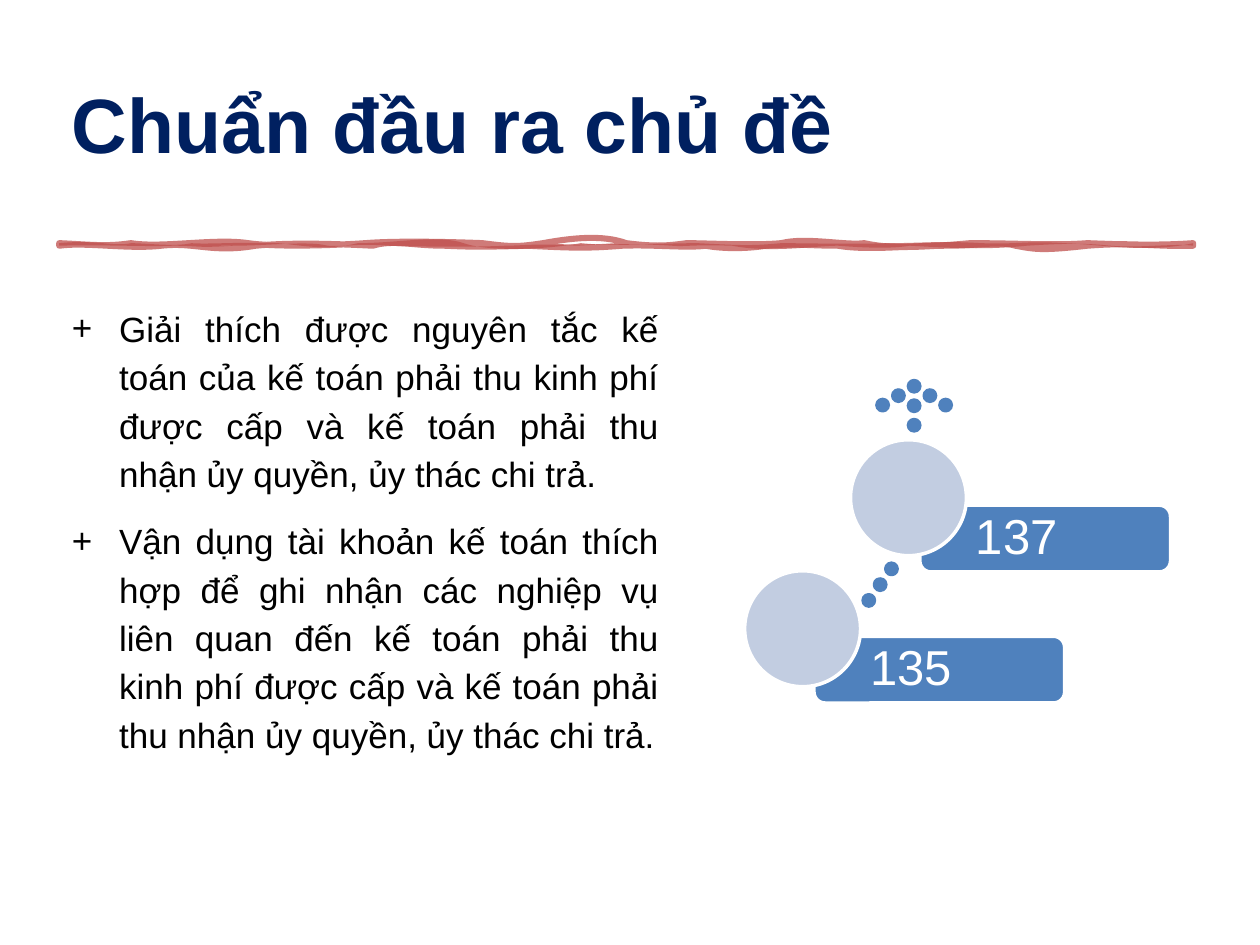
import lxml.etree
import pptx
import pptx.dml.color
import pptx.enum.shapes
import pptx.enum.text
import pptx.oxml
import pptx.oxml.ns
import pptx.util

COLUMNS, ROWS = 100, 75
NAVY, RED, BLUE, PALE = "002060", "C0504D", "4F81BD", "C2CDE1"
SHAPES = pptx.enum.shapes.MSO_SHAPE
ALIGN = pptx.enum.text.PP_ALIGN
ANCHOR = pptx.enum.text.MSO_ANCHOR

TITLE = "Chuẩn đầu ra chủ đề"
OUTCOMES = [
    "Giải thích được nguyên tắc kế toán của kế toán phải thu kinh phí được cấp "
    "và kế toán phải thu nhận ủy quyền, ủy thác chi trả.",
    "Vận dụng tài khoản kế toán thích hợp để ghi nhận các nghiệp vụ liên quan đến "
    "kế toán phải thu kinh phí được cấp và kế toán phải thu nhận ủy quyền, ủy thác chi trả.",
]

# Hand-drawn rule: each curve is (column, drop, column, drop, end column),
# where the drops are measured in rows from the edge it belongs to.
RULE_AREA = (4.7, 19.3, 90, 0.2)
STROKE_TOP = [
    (7, .1, 8.4, .3, 10.4), (12.9, .4, 17, -.4, 19.7), (21.8, .3, 26, .2, 29),
    (31.4, -.2, 35.9, -.1, 38.3), (40.6, .3, 41.1, .3, 43.1), (45.3, -.4, 47.8, -.7, 49.7),
    (52.1, .3, 53, .2, 54.5), (56, 0, 59.9, .2, 62), (64, -.5, 67.1, .2, 68.6),
    (70.4, .4, 72.5, .4, 77), (80.7, 0, 83.9, .2, 86.3), (88.8, .1, 92, .2, 94.7),
]
STROKE_BOTTOM = [
    (91.6, .1, 90.1, -.3, 86.3), (82.7, .4, 82.2, .3, 80.6), (79.2, -.4, 78, 0, 74.9),
    (72, 0, 68.9, .4, 66.5), (64.2, 0, 63, -.2, 60.8), (58.9, .3, 57.1, .2, 56),
    (54.5, .2, 51.9, -.1, 49.4), (46.8, .2, 45.7, .2, 41.9), (38.2, .1, 37.6, .1, 35.3),
    (32.7, 0, 31.2, -.5, 29.6), (27.6, -.1, 23.3, -.3, 20.3), (16.8, .6, 15.5, -.3, 12.8),
    (10.2, .3, 6.8, -.3, 4.7),
]
FILL_TOP = [
    (7.7, -.3, 9, .3, 10.4), (11.6, 0, 13.9, .3, 15.2), (16.5, .1, 19.1, -.1, 20.9),
    (22.8, -.2, 25.1, .8, 28.4), (31.6, 0, 34.8, -.7, 36.8), (38.8, .7, 43.4, .5, 46.1),
    (49.1, .3, 51.8, 0, 55.4), (59.2, .2, 59.7, .2, 62), (64.2, 0, 67.6, .1, 70.4),
    (73.4, 0, 74.5, -.2, 77.9), (81.1, .1, 81.4, -.2, 84.5), (87.5, .1, 91, .8, 94.7),
]
FILL_BOTTOM = [
    (93.2, -.2, 90.6, .2, 88.1), (86.2, -.2, 84.7, -.2, 81.5), (77.8, .4, 74.2, .1, 72.2),
    (70.5, .3, 67.8, .1, 66.5), (64.7, 0, 61.2, .6, 58.1), (54.7, -.1, 54.5, .1, 53.3),
    (51.9, -.1, 48.8, -.2, 45.8), (42.4, -.2, 41.5, 0, 40.1), (38.5, .1, 33.5, .1, 30.8),
    (28.1, -.2, 27.7, .1, 26), (24.4, -.4, 21.5, 0, 18.5), (15.5, .2, 15.9, 0, 13.7),
    (11.8, .1, 8, -.1, 4.7),
]


def color(text):
    return pptx.dml.color.RGBColor.from_string(text)


def child(parent, tag, **values):
    return lxml.etree.SubElement(parent, pptx.oxml.ns.qn(tag), **values)


class Slide:
    font = "Arial"

    def __init__(self, deck):
        self.page = deck.slides.add_slide(deck.slide_layouts[1])
        self.column = deck.slide_width / COLUMNS
        self.row = deck.slide_height / ROWS

    def cells(self, left, top, width, height):
        return [round(left * self.column), round(top * self.row),
                round(width * self.column), round(height * self.row)]

    def place(self, box, area, anchor):
        box.left, box.top, box.width, box.height = self.cells(*area)
        box.text_frame.auto_size = pptx.enum.text.MSO_AUTO_SIZE.NONE
        box.text_frame.vertical_anchor = anchor

    def format(self, para, size, ink, align, spacing, bold=False):
        para.alignment, para.line_spacing = align, spacing
        for span in para.runs:
            span.font.name, span.font.size = self.font, pptx.util.Pt(size)
            span.font.bold, span.font.color.rgb = bold, color(ink)

    def title(self, text, area):
        box = self.page.shapes.title
        self.place(box, area, ANCHOR.BOTTOM)
        box.text_frame.text = text
        self.format(box.text_frame.paragraphs[0], 44, NAVY, ALIGN.JUSTIFY, 1.2, True)

    def bullets(self, items, area):
        box = self.page.placeholders[1]
        self.place(box, area, ANCHOR.TOP)
        box.text_frame.text = "\n".join(items)
        indent = pptx.util.Pt(27)
        for index, para in enumerate(box.text_frame.paragraphs):
            settings = para._p.get_or_add_pPr()
            settings.set("marL", str(indent))
            settings.set("indent", str(-indent))
            child(settings, "a:buChar", char="+")
            para.space_before = pptx.util.Pt(3 if index else 0)
            para.space_after = pptx.util.Pt(8)
            self.format(para, 20, "000000", ALIGN.JUSTIFY, 1.15)

    def shape(self, kind, area, fill, line):
        shape = self.page.shapes.add_shape(kind, *self.cells(*area))
        self.paint(shape, fill, line, 2)
        return shape

    def paint(self, shape, fill, line, width):
        shape.shadow.inherit = False
        shape.fill.solid()
        shape.fill.fore_color.rgb = color(fill)
        shape.line.color.rgb = color(line)
        shape.line.width = pptx.util.Pt(width)

    def dot(self, left, top):
        self.shape(SHAPES.OVAL, (left, top, 0.9, 0.9), BLUE, BLUE)

    def step(self, left, top, label):
        """A labelled bar with a disc over its upper left corner."""
        bar = self.shape(SHAPES.ROUNDED_RECTANGLE, (left + 5.5, top + 5.2, 19.9, 5.3),
                         BLUE, "FFFFFF")
        frame = bar.text_frame
        frame.text = label
        frame.vertical_anchor = ANCHOR.MIDDLE
        frame.margin_left = pptx.util.Inches(0.42)
        frame.margin_right = frame.margin_top = frame.margin_bottom = pptx.util.Inches(0.12)
        self.format(frame.paragraphs[0], 28, "FFFFFF", ALIGN.LEFT, 0.9)
        self.shape(SHAPES.OVAL, (left, top, 9.2, 9.2), PALE, "FFFFFF")

    def brush_rule(self, area):
        """A freeform strip whose straight edges become wavy curves."""
        left, top, width, height = self.cells(*area)
        builder = self.page.shapes.build_freeform(left, top)
        builder.add_line_segments([(left + width, top), (left + width, top + height),
                                   (left, top + height)])
        shape = builder.convert_to_shape()
        self.paint(shape, RED, RED, 3.5)
        for ink in shape._element.spPr.iter(pptx.oxml.ns.qn("a:srgbClr")):
            child(ink, "a:alpha", val="75000")
        outlines = next(shape._element.spPr.iter(pptx.oxml.ns.qn("a:pathLst")))
        outlines.clear()
        size = {"w": str(width), "h": str(height)}
        self.wave(child(outlines, "a:path", fill="none", **size), area,
                  STROKE_TOP, STROKE_BOTTOM)
        self.wave(child(outlines, "a:path", stroke="0", **size), area,
                  FILL_TOP, FILL_BOTTOM)

    def wave(self, outline, area, upper, lower):
        left, _, _, height = area

        def point(parent, column, row):
            child(parent, "a:pt", x=str(round((column - left) * self.column)),
                  y=str(round(row * self.row)))

        point(child(outline, "a:moveTo"), left, 0)
        for edge, curves in ((0, upper), (height, lower)):
            for index, (x1, drop1, x2, drop2, end) in enumerate(curves):
                if edge and index == 0:
                    point(child(outline, "a:lnTo"), upper[-1][-1], edge)
                curve = child(outline, "a:cubicBezTo")
                point(curve, x1, edge + drop1)
                point(curve, x2, edge + drop2)
                point(curve, end, edge)
        child(outline, "a:close")


def main():
    deck = pptx.Presentation()
    deck.slide_width, deck.slide_height = pptx.util.Inches(10), pptx.util.Inches(7.5)
    slide = Slide(deck)

    # Title, rule and learning outcomes
    slide.title(TITLE, (4.7, 2.6, 90.6, 11.3))
    slide.brush_rule(RULE_AREA)
    slide.bullets(OUTCOMES, (4.7, 23.4, 48.6, 45))

    # Dotted trail between the steps
    for index in range(3):
        slide.dot(70.3 - 0.9 * index, 44.7 + 1.25 * index)

    # Dotted arrowhead: two wings from the tip, then the stem
    for index in range(-2, 3):
        slide.dot(72.1 + 1.25 * index, 30.2 + 0.75 * abs(index))
    for index in (1, 2):
        slide.dot(72.1, 30.2 + 1.55 * index)

    # Account steps, rising to the right
    for index, account in enumerate(["135", "137"]):
        slide.step(59.1 + 8.4 * index, 45.3 - 10.4 * index, account)

    deck.save("out.pptx")


if __name__ == "__main__":
    main()
